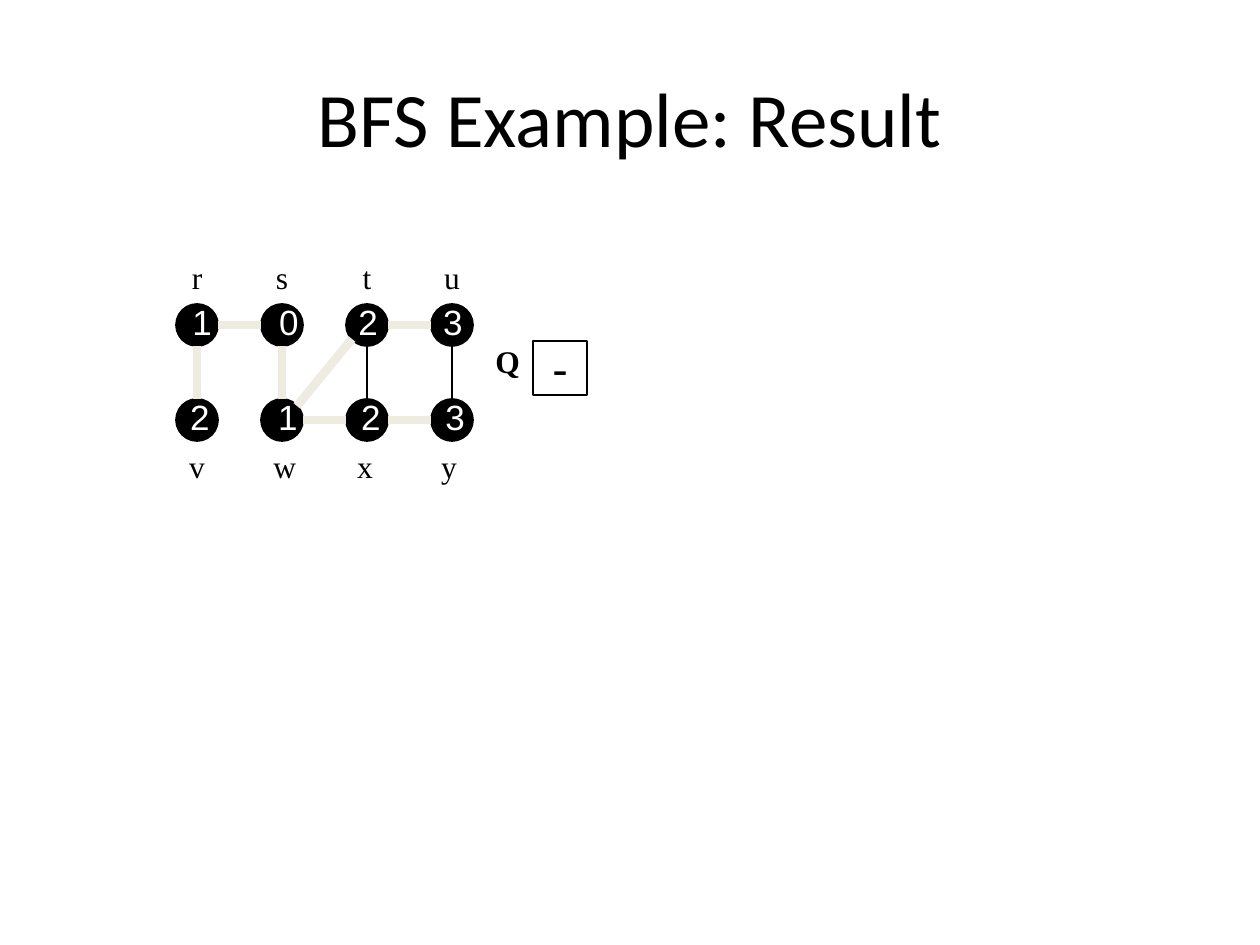
from lxml import etree
from pptx import Presentation
from pptx.dml.color import RGBColor
from pptx.enum.shapes import MSO_CONNECTOR, MSO_SHAPE
from pptx.enum.text import MSO_ANCHOR, PP_ALIGN
from pptx.oxml.ns import qn
from pptx.util import Emu, Pt

OVAL, BOX = MSO_SHAPE.OVAL, MSO_SHAPE.RECTANGLE
STRAIGHT = MSO_CONNECTOR.STRAIGHT
TOP, MIDDLE = MSO_ANCHOR.TOP, MSO_ANCHOR.MIDDLE
LEFT, CENTER = PP_ALIGN.LEFT, PP_ALIGN.CENTER

PX = 914400 // 126
COLORS = {"ink": "000000", "paper": "FFFFFF", "tree": "EEECE1"}
FORMATS = {
    "title": {"name": "Calibri", "size": Pt(44)},
    "distance": {"name": "Arial", "size": Pt(20)},
    "vertex": {"name": "Times New Roman", "size": Pt(18)},
    "queue": {"name": "Times New Roman", "size": Pt(18), "bold": True},
    "entry": {"name": "Calibri", "size": Pt(28)},
}


class Board:
    """Holds the slide and draws styled elements on it in px."""

    def __init__(self, slide):
        self.slide = slide

    def color(self, key):
        return RGBColor.from_string(COLORS[key])

    def label(self, shape, words, style, color="ink", align=CENTER, anchor=TOP, wrap=True):
        frame = shape.text_frame
        frame.word_wrap = wrap
        frame.vertical_anchor = anchor
        paragraph = frame.paragraphs[0]
        paragraph.alignment = align
        run = paragraph.add_run()
        run.text = words
        for attribute, value in FORMATS[style].items():
            setattr(run.font, attribute, value)
        run.font.color.rgb = self.color(color)

    def text(self, frame, words, style, **options):
        holder = self.slide.shapes.add_textbox(*(Emu(v * PX) for v in frame))
        self.label(holder, words, style, **options)

    def shape(self, kind, frame, fill):
        shape = self.slide.shapes.add_shape(kind, *(Emu(v * PX) for v in frame))
        shape.shadow.inherit = False
        shape.fill.solid()
        shape.fill.fore_color.rgb = self.color(fill)
        shape.line.color.rgb = self.color("ink")
        shape.line.width = Pt(1)
        return shape

    def edge(self, start, end, color="tree", width=5):
        edge = self.slide.shapes.add_connector(STRAIGHT, *(Emu(v * PX) for v in (*start, *end)))
        edge.line.color.rgb = self.color(color)
        edge.line.width = Pt(width)
        etree.SubElement(edge._element.spPr, qn("a:effectLst"))


def main():
    deck = Presentation()
    deck.slide_width, deck.slide_height = Emu(1260 * PX), Emu(945 * PX)
    board = Board(deck.slides.add_slide(deck.slide_layouts[6]))

    board.text((63, 38, 1134, 158), "BFS Example: Result", "title", anchor=MIDDLE)

    # Graph grid
    first_x, step, node = 176, 85, 42
    radius = node // 2
    # Node top, label top, then vertex, distance, distance shift and label shift
    rows = (
        (304, 252, (("r", "1", -1, 0), ("s", "0", 1, 0), ("t", "2", -5, 0), ("u", "3", -5, 0))),
        (399, 441, (("v", "2", -3, 0), ("w", "1", 0, 0), ("x", "2", -2, -2), ("y", "3", -3, -3))),
    )

    # Vertices with distances and names
    centers = {}
    for top, label_top, vertices in rows:
        for column, (name, distance, distance_shift, label_shift) in enumerate(vertices):
            x = first_x + column * step
            centers[name] = (x + radius, top + radius)
            board.shape(OVAL, (x, top, node, node), "ink")
            board.text((x + distance_shift, top - 10, 54, 54), distance, "distance",
                       color="paper", wrap=False)
            board.text((x + label_shift, label_top, node, 50), name, "vertex", wrap=False)

    # Vertical edges: the first two belong to the search tree
    plain = {"color": "ink", "width": 1}
    for pair, look in (("rv", {}), ("sw", {}), ("tx", plain), ("uy", plain)):
        (x, upper), (_, lower) = (centers[name] for name in pair)
        board.edge((x, lower - radius), (x, upper + radius), **look)

    # Horizontal and diagonal tree edges
    for pair in ("rs", "wx", "xy", "tu"):
        (left, y), (right, _) = (centers[name] for name in pair)
        board.edge((left + radius, y), (right - radius, y))
    (t_x, t_y), (w_x, w_y) = centers["t"], centers["w"]
    board.edge((t_x - 15, t_y + 14), (w_x + 15, w_y - 14))

    # Empty queue
    queue = board.shape(BOX, (533, 341, 54, 54), "paper")
    board.label(queue, "-", "entry", anchor=MIDDLE)
    board.text((483, 336, 73, 63), "Q", "queue", align=LEFT)

    deck.save("out.pptx")


if __name__ == "__main__":
    main()
